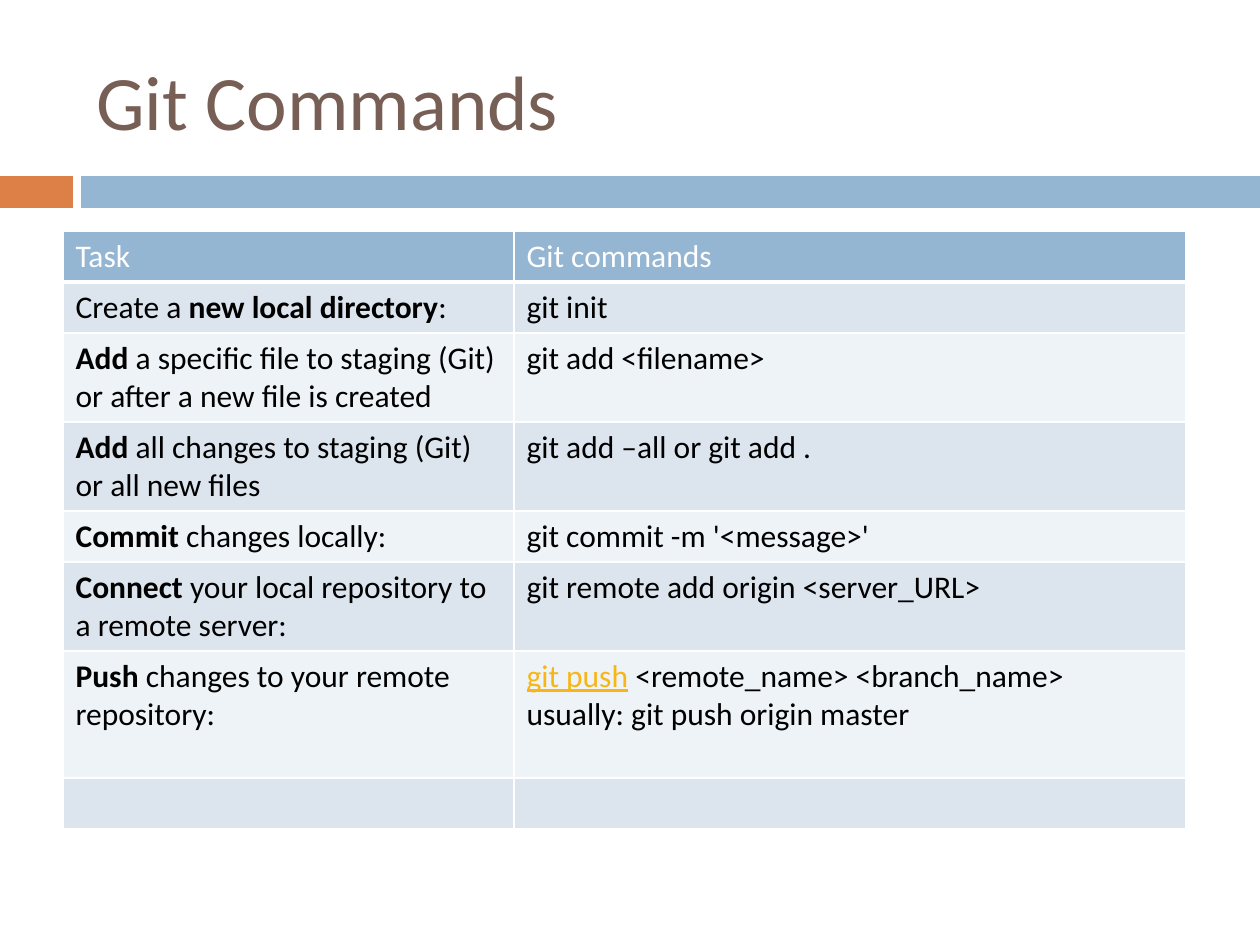
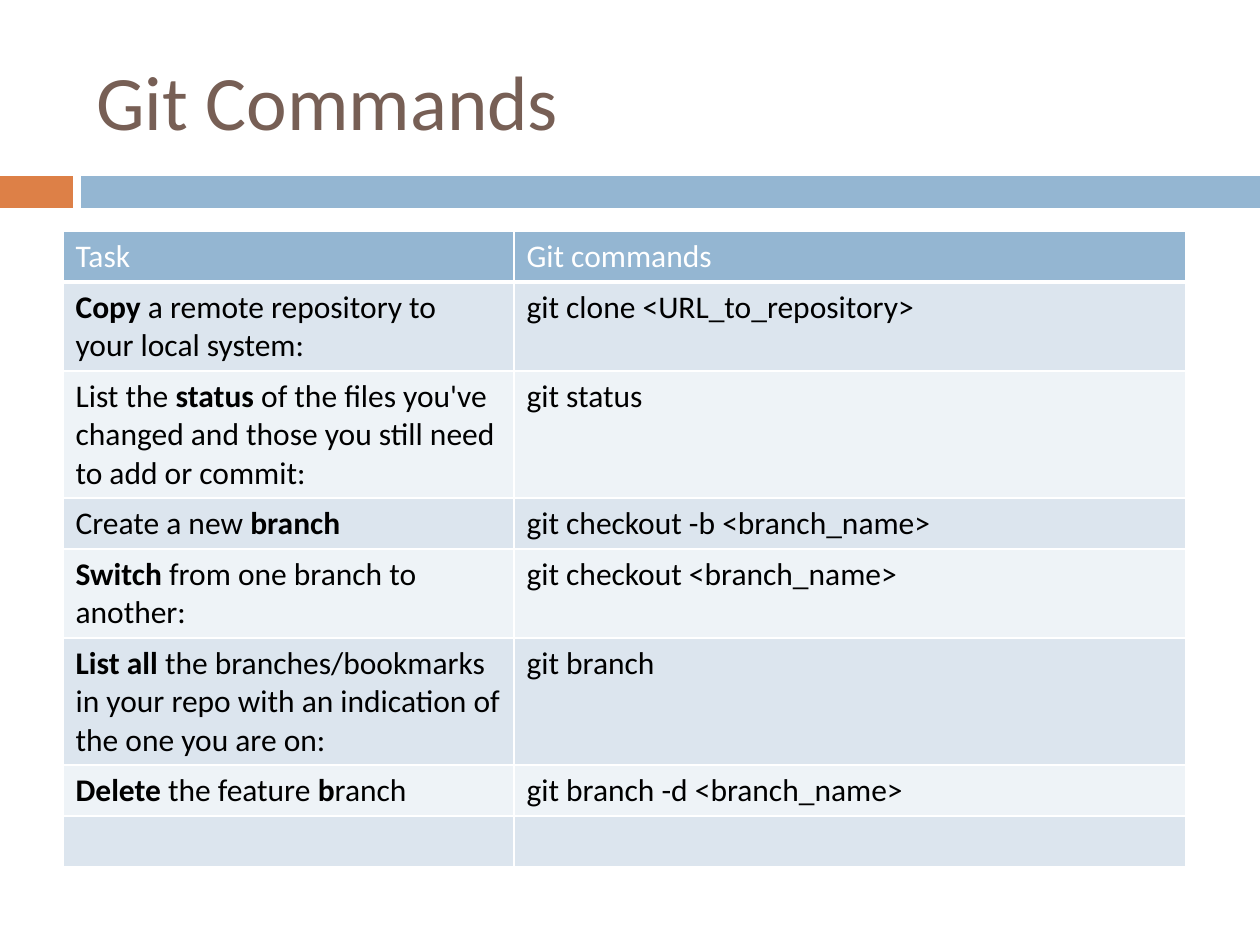
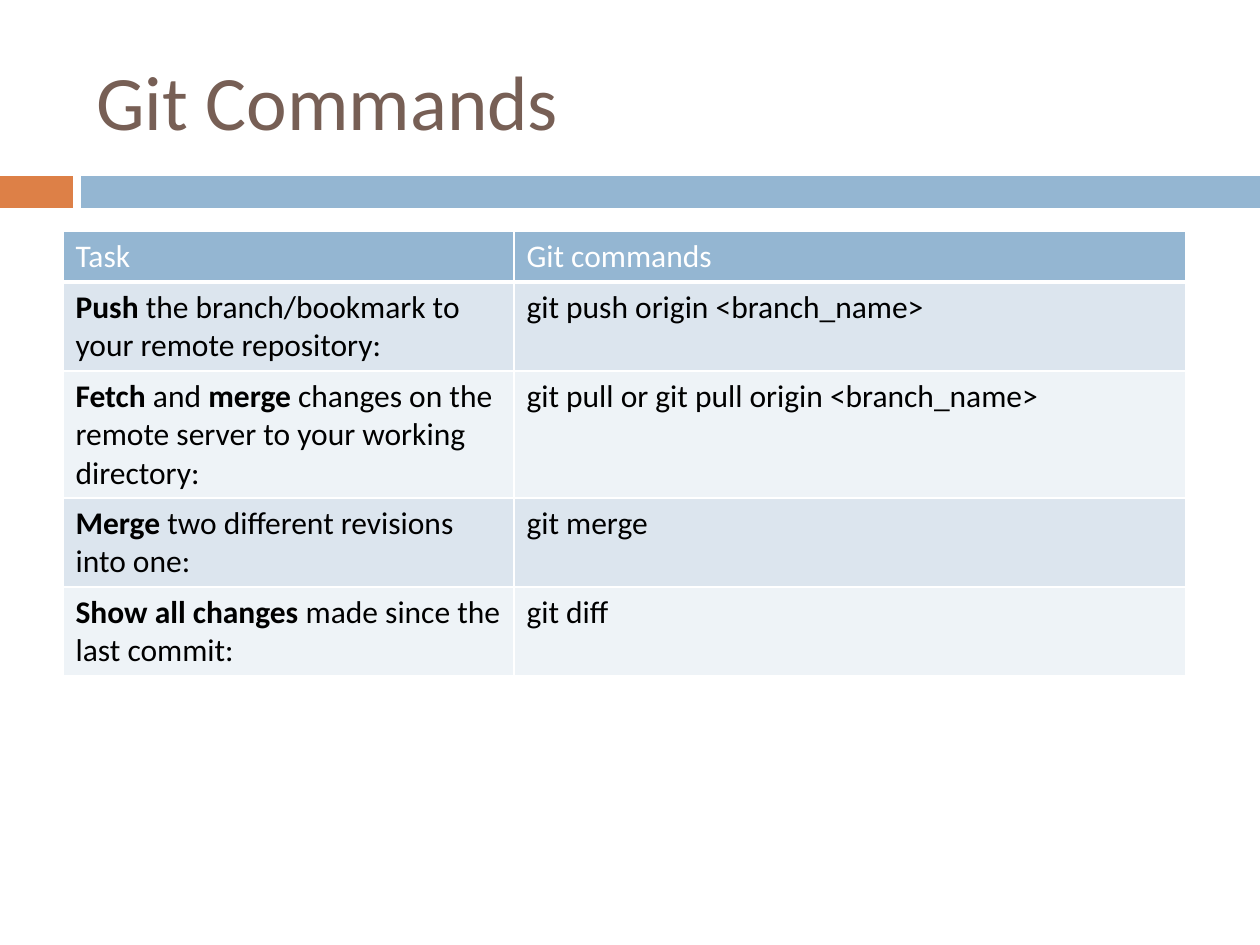
import pptx
import pptx.dml.color
import pptx.enum.shapes
import pptx.enum.text
import pptx.oxml
import pptx.oxml.ns
import pptx.util

TITLE = "Git Commands"
HEADER = ("Task", "Git commands")

# Each row: lines of height, task, command paragraphs.
# Asterisks mark bold words in a task and linked words in a command.
TABLES = [
    [
        (1, "Create a *new local directory*:", ["git init"]),
        (2, "*Add* a specific file to staging (Git) or after a new file is created",
         ["git add <filename>"]),
        (2, "*Add* all changes to staging (Git) or all new files",
         ["git add –all or git add ."]),
        (1, "*Commit* changes locally:", ["git commit -m '<message>'"]),
        (2, "*Connect* your local repository to a remote server:",
         ["git remote add origin <server_URL>"]),
        (3, "*Push* changes to your remote repository:",
         ["*git push* <remote_name> <branch_name>", "usually: git push origin master"]),
        (1, "", [""]),
    ],
    [
        (2, "*Copy* a remote repository to your local system:",
         ["git clone <URL_to_repository>"]),
        (3, "List the *status* of the files you've changed and those you still need "
            "to add or commit:", ["git status"]),
        (1, "Create a new *branch*", ["git checkout -b <branch_name>"]),
        (2, "*Switch* from one branch to another:", ["git checkout <branch_name>"]),
        (3, "*List all* the branches/bookmarks in your repo with an indication of "
            "the one you are on:", ["git branch"]),
        (1, "*Delete* the feature *b*ranch", ["git branch -d <branch_name>"]),
        (1, "", [""]),
    ],
    [
        (2, "*Push* the branch/bookmark to your remote repository:",
         ["git push origin <branch_name>"]),
        (3, "*Fetch* and *merge* changes on the remote server to your working directory:",
         ["git pull or git pull origin <branch_name>"]),
        (2, "*Merge* two different revisions into one:", ["git merge"]),
        (2, "*Show all changes* made since the last commit:", ["git diff"]),
    ],
]

COLORS = {
    "title": "775F55", "accent": "DD8047", "band": "94B6D2", "white": "FFFFFF",
    "odd": "DCE5EE", "even": "EEF3F7", "text": "000000", "link": "F7B615",
}
FORMATS = {
    "title": {"size": 44, "color": "title"},
    "header": {"size": 18, "color": "white", "bold": False},
    "body": {"size": 18, "color": "text", "bold": False},
    "bold": {"size": 18, "color": "text", "bold": True},
    "link": {"size": 18, "color": "link", "bold": False, "underline": True},
}
FONT = "Calibri"

SCALE = 914400 // 126
SLIDE = (1260, 945)
TITLE_BOX = (84, 32, 1124, 136)
BANDS = [("accent", (0, 176, 73, 32)), ("band", (81, 176, 1179, 32))]
TABLE_LEFT, TABLE_TOP = 63, 231
COLUMNS = (451, 672)
LINE_HEIGHT, CELL_PADDING = 38, 13


def emu(*lengths):
    return [pptx.util.Emu(n * SCALE) for n in lengths]


def rgb(name):
    return pptx.dml.color.RGBColor.from_string(COLORS[name])


def add_run(p, text, style):
    r = p.add_run()
    r.text = text
    r.font.name = FONT
    for key, value in FORMATS[style].items():
        if key == "color":
            r.font.color.rgb = rgb(value)
        else:
            setattr(r.font, key, pptx.util.Pt(value) if key == "size" else value)


def add_frame(s):
    """Add the title and the two bands that every slide shares."""
    for color, box in BANDS:
        sp = s.shapes.add_shape(pptx.enum.shapes.MSO_SHAPE.RECTANGLE, *emu(*box))
        sp.shadow.inherit = False
        sp.fill.solid()
        sp.fill.fore_color.rgb = rgb(color)
        sp.line.fill.background()
    tf = s.shapes.add_textbox(*emu(*TITLE_BOX)).text_frame
    tf.word_wrap = True
    tf.vertical_anchor = pptx.enum.text.MSO_ANCHOR.MIDDLE
    add_run(tf.paragraphs[0], TITLE, "title")


def set_borders(cell, top, bottom):
    """Draw white borders; top and bottom are widths in points."""
    tc_pr = cell._tc.get_or_add_tcPr()
    for i, (side, width) in enumerate(zip("LRTB", (1, 1, top, bottom))):
        tc_pr.insert(i, pptx.oxml.parse_xml(
            f'<a:ln{side} {pptx.oxml.ns.nsdecls("a")} w="{pptx.util.Pt(width)}">'
            f'<a:solidFill><a:srgbClr val="{COLORS["white"]}"/></a:solidFill></a:ln{side}>'))


def fill_cell(cell, paragraphs, fill, base, marked):
    cell.fill.solid()
    cell.fill.fore_color.rgb = rgb(fill)
    tf = cell.text_frame
    for i, text in enumerate(paragraphs):
        p = tf.add_paragraph() if i else tf.paragraphs[0]
        for j, piece in enumerate(text.split("*")):
            if piece:
                add_run(p, piece, marked if j % 2 else base)


def add_commands(s, body):
    rows = [(1, HEADER[0], [HEADER[1]])] + body
    heights = [CELL_PADDING + LINE_HEIGHT * lines for lines, _, _ in rows]
    table = s.shapes.add_table(
        len(rows), len(COLUMNS),
        *emu(TABLE_LEFT, TABLE_TOP, sum(COLUMNS), sum(heights))).table
    table.first_row = table.horz_banding = False
    for column, width in zip(table.columns, emu(*COLUMNS)):
        column.width = width
    for i, (height, (_, task, commands)) in enumerate(zip(emu(*heights), rows)):
        table.rows[i].height = height
        fill = ("odd" if i % 2 else "even") if i else "band"
        base = "body" if i else "header"
        for j, (paragraphs, marked) in enumerate((([task], "bold"), (commands, "link"))):
            cell = table.cell(i, j)
            fill_cell(cell, paragraphs, fill, base, marked)
            set_borders(cell, top=3 if i == 1 else 1, bottom=1 if i else 3)


def main():
    prs = pptx.Presentation()
    prs.slide_width, prs.slide_height = emu(*SLIDE)
    for body in TABLES:
        s = prs.slides.add_slide(prs.slide_layouts[6])
        add_frame(s)
        add_commands(s, body)
    prs.save("out.pptx")


if __name__ == "__main__":
    main()
